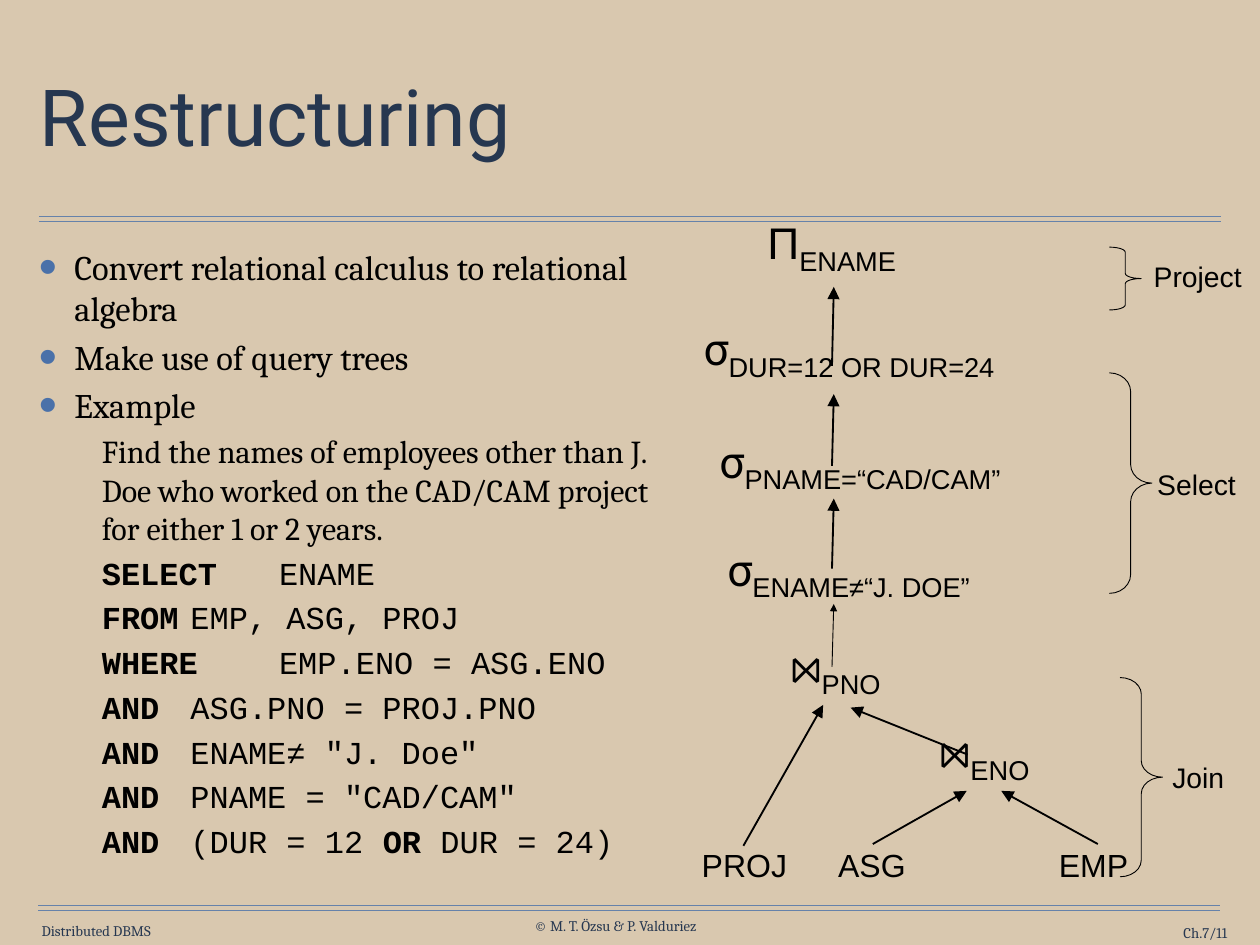
from lxml.etree import SubElement as Sub
from pptx import Presentation
from pptx.dml.color import RGBColor as Color
from pptx.enum.shapes import MSO_CONNECTOR as Link, MSO_SHAPE as Shape
from pptx.enum.text import MSO_ANCHOR as Anchor, PP_ALIGN as Align
from pptx.oxml.ns import qn
from pptx.util import Inches, Pt

INK = {"sand": "D9C8AF", "rule": "6682AA", "navy": "263750",
       "black": "000000", "dot": "4A71A9"}
WIDE, HIGH = 142.2, 106.7


def cell(count):
    return Inches(count / 10)


def apply(item, form):
    for key, value in form.items():
        setattr(item, key, value)


def add(node, tag, **attrs):
    return Sub(node, qn("a:" + tag), attrs)


class Page:
    def __init__(self, deck):
        self.slide = deck.slides.add_slide(deck.slide_layouts[6])
        self.shapes = self.slide.shapes
        fill = self.slide.background.fill
        fill.solid()
        fill.fore_color.rgb = Color.from_string(INK["sand"])

    def runs(self, para, parts, font, size, ink="black"):
        for text, extra in parts:
            run = para.add_run()
            run.text = text
            form = {"name": font, "size": Pt(size)}
            form.update({k: v for k, v in extra.items() if k != "drop"})
            apply(run.font, form)
            run.font.color.rgb = Color.from_string(INK[ink])
            if "drop" in extra:
                run.font._element.set("baseline", str(extra["drop"]))

    def box(self, x, y, w, h, pad=0, **form):
        frame = self.shapes.add_textbox(*map(cell, (x, y, w, h))).text_frame
        sides = dict.fromkeys(("margin_left", "margin_right",
                               "margin_top", "margin_bottom"), cell(pad))
        apply(frame, {"word_wrap": True, **sides, **form})
        return frame

    def label(self, x, y, w, h, parts, size, lead, font="Arial"):
        para = self.box(x, y, w, h).paragraphs[0]
        apply(para, {"alignment": Align.LEFT, "line_spacing": Pt(lead)})
        self.runs(para, parts, font, size)

    def foot(self, x, y, w, text, align=Align.LEFT):
        frame = self.box(x, y, w, 2, vertical_anchor=Anchor.MIDDLE)
        frame.paragraphs[0].alignment = align
        self.runs(frame.paragraphs[0], [(text, {})], "Cambria", 12, "navy")

    def title(self, x, y, w, h, text):
        frame = self.box(x, y, w, h, 0.6, vertical_anchor=Anchor.MIDDLE)
        frame.paragraphs[0].line_spacing = 0.9
        self.runs(frame.paragraphs[0], [(text, {})], "Roboto", 64, "navy")

    def body(self, x, y, w, h, rows):
        frame = self.box(x, y, w, h, 0.6)
        for i, (parts, font, size, dot) in enumerate(rows):
            para = frame.add_paragraph() if i else frame.paragraphs[0]
            left, first = (4, -4) if dot else (7.1, 0)
            prop = para._p.get_or_add_pPr()
            for key, value in {"marL": cell(left), "indent": cell(first),
                               "defTabSz": cell(10)}.items():
                prop.set(key, str(int(value)))
            add(add(prop, "spcBef"), "spcPct", val="20000")
            if dot:
                add(add(prop, "buClr"), "srgbClr", val=INK["dot"])
                add(prop, "buSzPct", val="150000")
                add(prop, "buFont", typeface="Arial")
                add(prop, "buChar", char="•")
            else:
                add(prop, "buNone")
            self.runs(para, parts, font, size)

    def line(self, x1, y1, x2, y2, ink="black", width=1.5, head="lg"):
        link = self.shapes.add_connector(Link.STRAIGHT, *map(cell, (x1, y1, x2, y2)))
        link.line.color.rgb = Color.from_string(INK[ink])
        link.line.width = Pt(width)
        if head:
            add(link.line._get_or_add_ln(), "tailEnd", type="triangle", w=head, len=head)
        add(link._element.spPr, "effectLst")

    def brace(self, x, y, w, h, curve):
        brace = self.shapes.add_shape(Shape.RIGHT_BRACE, *map(cell, (x, y, w, h)))
        brace.adjustments[0] = curve
        brace.shadow.inherit = False
        brace.fill.background()
        brace.line.color.rgb = Color.from_string(INK["black"])
        brace.line.width = Pt(0.75)


deck = Presentation()
apply(deck, {"slide_width": cell(WIDE), "slide_height": cell(HIGH)})
page = Page(deck)

for left, top in ((4.4, 24.45), (4.3, 102.2)):
    for gap in (0, 0.6):
        page.line(left, top + gap, left + 133.4, top + gap, "rule", 1, None)

page.foot(4.7, 104.1, 18, "Distributed DBMS")
page.foot(60.3, 103.5, 25, "© M. T. Özsu & P. Valduriez")
page.foot(123.1, 104.3, 15.4, "Ch.7/11", Align.RIGHT)
page.title(3.9, 4.9, 134.4, 17.6, "Restructuring")

BOLD, THIN = {"bold": True}, {"bold": False}
points = ["Convert relational calculus to relational algebra",
          "Make use of query trees", "Example"]
task = ("Find the names of employees other than J. Doe who worked on "
        "the CAD/CAM project for either 1 or 2 years.")
query = [("SELECT", "ENAME"), ("FROM", "EMP, ASG, PROJ"),
         ("WHERE", "EMP.ENO = ASG.ENO"), ("AND", "ASG.PNO = PROJ.PNO"),
         ("AND", "ENAME≠ \"J. Doe\""), ("AND", "PNAME = \"CAD/CAM\""),
         ("AND", "(DUR = 12 ")]
code = [[(word, BOLD), ("\t" + rest, THIN)] for word, rest in query]
code[-1] += [("OR ", BOLD), ("DUR = 24)", THIN)]
rows = [([(text, {})], "Cambria", 28, True) for text in points]
rows.append(([(task, {})], "Cambria", 26, False))
rows += [(parts, "Courier New", 26, False) for parts in code]
page.body(3.8, 27.2, 73.7, 74, rows)

SUB = {"name": "Arial", "size": Pt(38), "drop": -25000}
nodes = [(86.6, 25.5, "Π", "ENAME", "Arial"),
         (79.4, 37.5, "σ", "DUR=12 OR DUR=24", "Roboto"),
         (81.2, 50.2, "σ", "PNAME=“CAD/CAM”", "Roboto"),
         (82.1, 62.4, "σ", "ENAME≠“J. DOE”", "Roboto")]
for x, y, sign, text, font in nodes:
    page.label(x, y, 38, 5.8, [(sign, {}), (text, SUB)], 36, 41.2, font)

for x, text in ((79.2, "PROJ"), (94.6, "ASG"), (119.5, "EMP")):
    page.label(x, 95.4, 12, 4.4, [(text, {})], 26, 31.3)

for x, y, text in ((130.2, 29.3, "Project"), (130.6, 52.8, "Select"),
                   (132.3, 85.9, "Join")):
    page.label(x, y, WIDE - x, 3.8, [(text, {})], 23, 27)

for ends in ((98.5, 95.3, 109.1, 89.3), (123.9, 95.3, 113, 89.3),
             (83.9, 95.5, 92.9, 79.6), (109.2, 85.2, 96, 79.9)):
    page.line(*ends)
for low, top in ((64.2, 56.3), (52.6, 44.5), (41.3, 32.4)):
    page.line(93.9, low, 94.1, top)
page.line(93.9, 75.3, 94.1, 68.2, width=0.75, head="med")

for span in ((125.2, 42.1, 4.8, 24.9, 0.44), (126.4, 76.5, 4.8, 22.5, 0.39),
             (125.2, 27.9, 3.6, 7.1, 0.16)):
    page.brace(*span)

for x, y, text in ((89.2, 74.7, "PNO"), (106, 84.4, "ENO")):
    page.label(x, y, 14, 4.8, [("⋈", {}), (text, SUB)], 40, 31.3, "Cambria")

deck.save("out.pptx")
